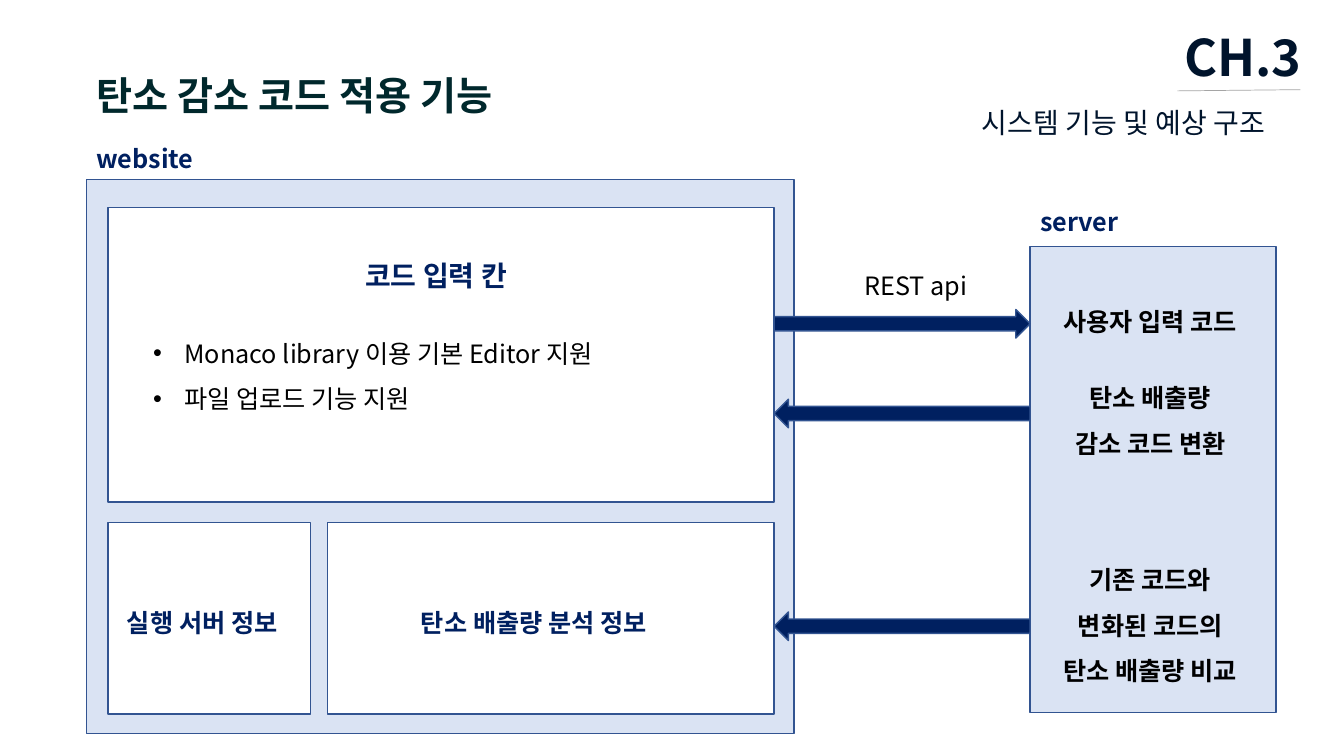
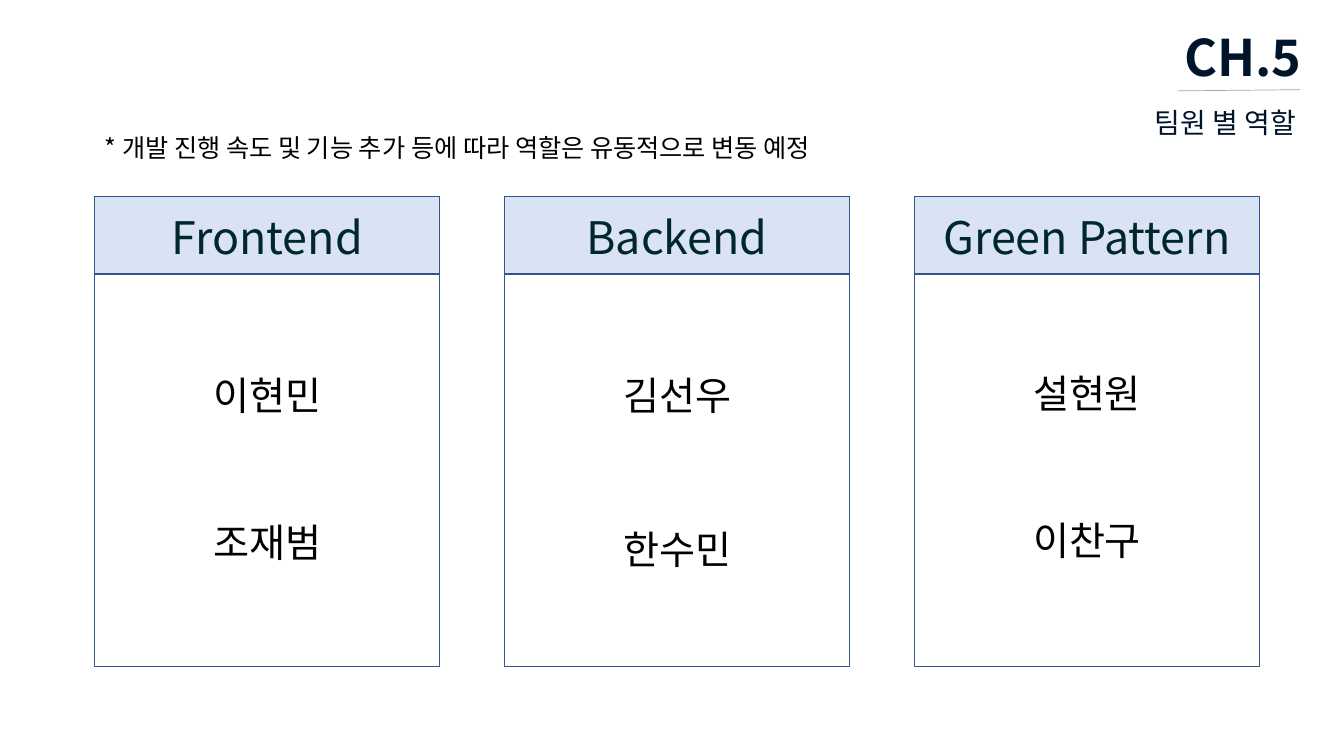
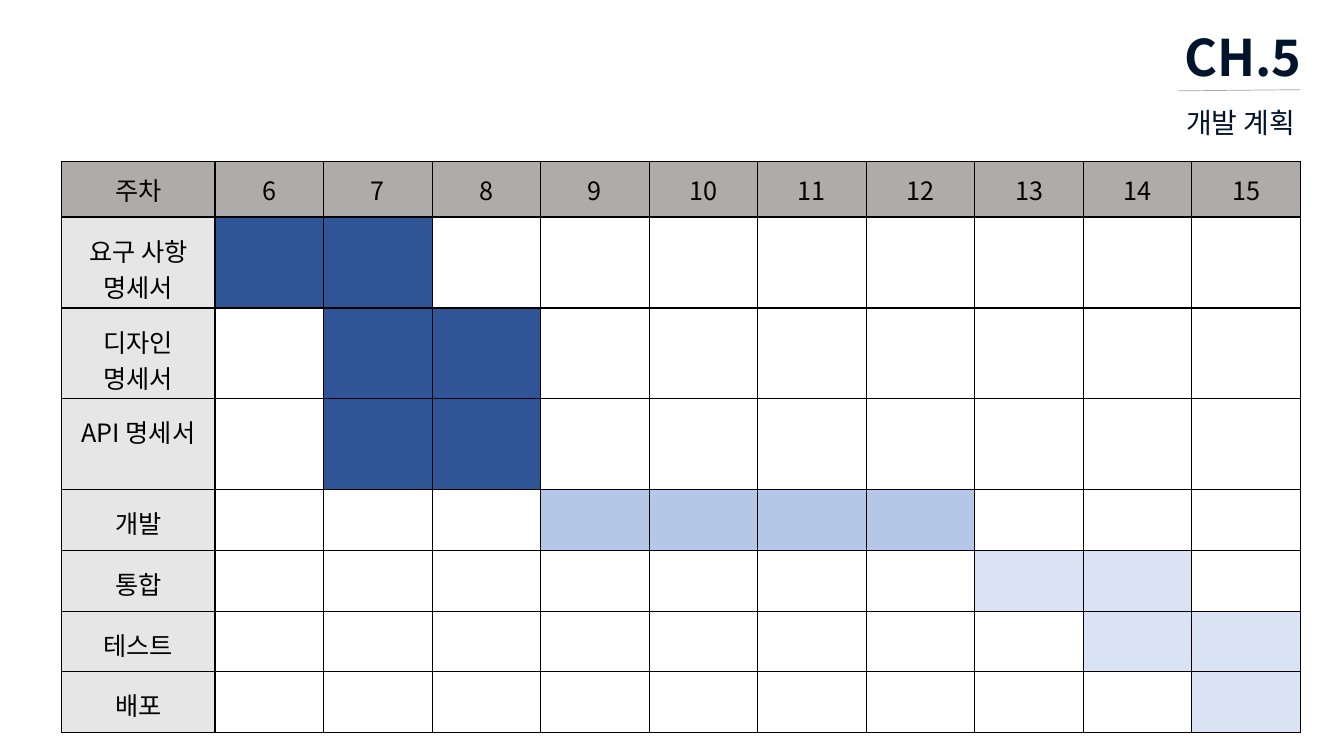
from lxml.etree import SubElement
from pptx import Presentation
from pptx.dml.color import RGBColor
from pptx.enum.shapes import MSO_CONNECTOR, MSO_SHAPE
from pptx.enum.text import MSO_ANCHOR, PP_ALIGN
from pptx.oxml.ns import qn
from pptx.util import Cm, Pt


class Theme:
    font = "Noto Sans CJK KR"
    ink, teal, navy, black = "00142C", "00282C", "002060", "000000"
    white, pale, sky, blue, edge = "FFFFFF", "DAE3F3", "B4C7E7", "2F5597", "325491"
    rule, head, side = "A5A5A5", "AFABAB", "E7E6E6"
    mark, card, big, sub, body = 36, 32, 28, 20, 18
    tight, grid, loose = 1.25, 1.44, 1.8


def add(slide, at, kind=None, fill=None):
    """Add a shape, or a wrapping text box when no kind is given."""
    at = [Cm(n) for n in at]
    if kind is None:
        box = slide.shapes.add_textbox(*at)
    else:
        box = slide.shapes.add_shape(kind, *at)
        box.shadow.inherit = False
        box.line.color.rgb = RGBColor.from_string(Theme.edge)
        box.line.width = Pt(1)
        if fill:
            box.fill.solid()
            box.fill.fore_color.rgb = RGBColor.from_string(fill)
        else:
            box.fill.background()
    box.text_frame.word_wrap = True
    return box


def write(par, text, size, color, bold=False, align=PP_ALIGN.LEFT,
          lead=Theme.tight, gap=0):
    """Fill one paragraph; lead is the line height in ems, gap is in points."""
    par.text = text
    par.alignment = align
    par.line_spacing = Pt(size * lead)
    par.space_before = Pt(gap)
    font = par.font
    font.name, font.size, font.bold = Theme.font, Pt(size), bold
    font.color.rgb = RGBColor.from_string(color)
    base = par._p.pPr.find(qn("a:defRPr"))
    SubElement(base, qn("a:ea"), typeface=Theme.font)


mid = PP_ALIGN.CENTER
rect = MSO_SHAPE.RECTANGLE
deck = Presentation()
deck.slide_width, deck.slide_height = Cm(33.87), Cm(19.05)

# Chapter mark on every slide
pages = []
for mark, topic, left in [
    ("CH.3", "시스템 기능 및 예상 구조", 24.49),
    ("CH.5", "팀원 별 역할", 28.85),
    ("CH.5", "개발 계획", 29.64),
]:
    page = deck.slides.add_slide(deck.slide_layouts[6])
    box = add(page, (29.59, 0.48, 4.2, 1.8))
    write(box.text_frame.paragraphs[0], mark, Theme.mark, Theme.ink, True)
    box = add(page, (left, 2.51, 33.8 - left, 1.12))
    write(box.text_frame.paragraphs[0], topic, Theme.sub, Theme.ink)
    rule = page.shapes.add_connector(
        MSO_CONNECTOR.STRAIGHT, Cm(29.67), Cm(2.29), Cm(32.77), Cm(2.26))
    rule.line.color.rgb = RGBColor.from_string(Theme.rule)
    rule.line.width = Pt(0.5)
    SubElement(rule._element.spPr, qn("a:effectLst"))
    pages.append(page)
flow, team, plan = pages

# System flow: panels and arrows
for at, fill in [
    ((2.18, 4.52, 17.83, 13.97), Theme.pale),
    ((2.72, 5.23, 16.79, 7.42), Theme.white),
    ((2.72, 13.16, 5.11, 4.83), Theme.white),
    ((8.26, 13.16, 11.25, 4.83), Theme.white),
    ((25.96, 6.22, 6.2, 11.73), Theme.pale),
]:
    add(flow, at, rect, fill)
for top, kind in [
    (7.8, MSO_SHAPE.RIGHT_ARROW),
    (10.06, MSO_SHAPE.LEFT_ARROW),
    (15.42, MSO_SHAPE.LEFT_ARROW),
]:
    add(flow, (19.51, top, 6.45, 0.72), kind, Theme.navy)

# System flow: labels
for text, at, size, color, bold in [
    ("탄소 감소 코드 적용 기능", (2.18, 1.63, 15.2, 1.45), Theme.big, Theme.teal, True),
    ("website", (2.18, 3.45, 3.9, 1.07), Theme.body, Theme.navy, True),
    ("server", (25.96, 5.05, 3.9, 1.07), Theme.body, Theme.navy, True),
    ("REST api", (21.54, 6.65, 3.9, 1.07), Theme.body, Theme.black, False),
    ("실행 서버 정보", (2.95, 15.14, 5.03, 1.02), Theme.body, Theme.navy, True),
    ("탄소 배출량 분석 정보", (10.36, 15.14, 7.01, 1.02), Theme.body, Theme.navy, True),
]:
    box = add(flow, at)
    write(box.text_frame.paragraphs[0], text, size, color, bold)

# System flow: code input
frame = add(flow, (3.61, 6.35, 14.76, 4.04)).text_frame
write(frame.paragraphs[0], "코드 입력 칸", Theme.sub, Theme.navy, True, mid)
for text, gap in [
    ("Monaco library 이용 기본 Editor 지원", 22),
    ("파일 업로드 기능 지원", 0),
]:
    par = frame.add_paragraph()
    write(par, text, Theme.body, Theme.black, lead=Theme.loose, gap=gap)
    prop = par._p.pPr
    prop.set("marL", str(Cm(0.79)))
    prop.set("indent", str(-Cm(0.79)))
    base = prop.find(qn("a:defRPr"))
    base.addprevious(SubElement(prop, qn("a:buFont"), typeface="Arial"))
    base.addprevious(SubElement(prop, qn("a:buChar"), char="•"))

# System flow: server steps
frame = add(flow, (26.16, 7.57, 5.66, 9.73)).text_frame
par = frame.paragraphs[0]
write(par, "사용자 입력 코드", Theme.body, Theme.black, True, mid)
for text, gap in [
    ("탄소 배출량", 22),
    ("감소 코드 변환", 0),
    ("기존 코드와", 65),
    ("변화된 코드의", 0),
    ("탄소 배출량 비교", 0),
]:
    write(frame.add_paragraph(), text, Theme.body, Theme.black, True, mid,
          Theme.loose, gap)

# Team roles: note and cards
box = add(team, (2.39, 3.18, 21.4, 1.02))
write(box.text_frame.paragraphs[0],
      "* 개발 진행 속도 및 기능 추가 등에 따라 역할은 유동적으로 변동 예정",
      Theme.body, Theme.black)
for i, (role, names) in enumerate([
    ("Frontend", [("이현민", 9.19), ("조재범", 12.88)]),
    ("Backend", [("김선우", 9.19), ("한수민", 13.06)]),
    ("Green Pattern", [("설현원", 9.14), ("이찬구", 12.83)]),
]):
    left, wide = 2.39 + 10.33 * i, 8.69
    box = add(team, (left, 4.95, wide, 1.96), rect, Theme.pale)
    box.text_frame.vertical_anchor = MSO_ANCHOR.MIDDLE
    write(box.text_frame.paragraphs[0], role, Theme.card, Theme.teal, align=mid)
    add(team, (left, 4.95, wide, 11.84), rect)
    for name, top in names:
        box = add(team, (left, top, wide, 1.45))
        write(box.text_frame.paragraphs[0], name, Theme.big, Theme.black, align=mid)

# Schedule: task, first week, last week, bar colour, row height
weeks = range(6, 16)
tasks = [
    ("요구 사항\n명세서", 6, 7, Theme.blue, 2.29),
    ("디자인\n명세서", 7, 8, Theme.blue, 2.29),
    ("API 명세서", 7, 8, Theme.blue, 2.29),
    ("개발", 9, 12, Theme.sky, 1.53),
    ("통합", 13, 14, Theme.pale, 1.53),
    ("테스트", 14, 15, Theme.pale, 1.53),
    ("배포", 15, 15, Theme.pale, 1.53),
]
grid = [[("주차", Theme.head)] + [(str(week), Theme.head) for week in weeks]]
for task, start, end, color, high in tasks:
    grid.append([(task, Theme.side)] + [
        ("", color if start <= week <= end else Theme.white) for week in weeks])
highs = [1.4] + [task[-1] for task in tasks]
table = plan.shapes.add_table(
    len(grid), len(grid[0]), Cm(1.55), Cm(4.07), Cm(31.22), Cm(sum(highs))).table
table.first_row = table.horz_banding = False
for i, col in enumerate(table.columns):
    col.width = Cm(27.35) // len(weeks) if i else Cm(3.87)

# Schedule: cells
for r, line in enumerate(grid):
    table.rows[r].height = Cm(highs[r])
    for c, (text, color) in enumerate(line):
        cell = table.cell(r, c)
        cell.vertical_anchor = MSO_ANCHOR.MIDDLE
        if r and not c:
            cell.vertical_anchor = MSO_ANCHOR.TOP
            cell.margin_left = cell.margin_right = cell.margin_top = Cm(0.38)
            cell.margin_bottom = 0
        prop = cell._tc.get_or_add_tcPr()
        for side in "LRTB":
            edge = SubElement(prop, qn("a:ln" + side), w=str(Pt(1)))
            paint = SubElement(edge, qn("a:solidFill"))
            SubElement(paint, qn("a:srgbClr"), val=Theme.black)
        cell.fill.solid()
        cell.fill.fore_color.rgb = RGBColor.from_string(color)
        if text:
            cell.text = text
            for par in cell.text_frame.paragraphs:
                write(par, par.text, Theme.body, Theme.black, align=mid,
                      lead=Theme.grid)

deck.save("out.pptx")
